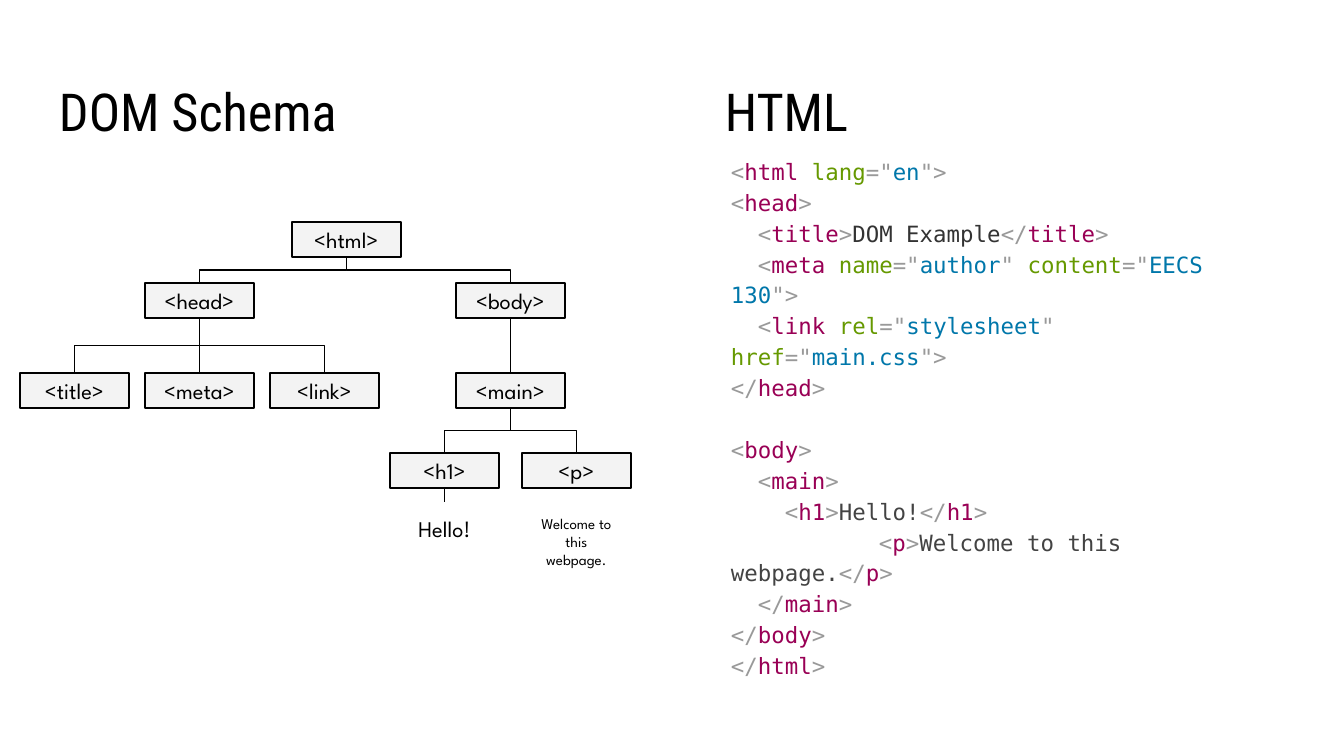
"""Build a slide that sets a DOM tree beside its HTML source."""
import itertools

import pptx
import pptx.dml.color
import pptx.enum.shapes
import pptx.enum.text
import pptx.oxml
import pptx.util

RGB = pptx.dml.color.RGBColor
BLACK = RGB(0x00, 0x00, 0x00)
PALE = RGB(0xF3, 0xF3, 0xF3)
GREY = RGB(0x99, 0x99, 0x99)
PLUM = RGB(0x99, 0x00, 0x55)
GREEN = RGB(0x66, 0x99, 0x00)
BLUE = RGB(0x00, 0x77, 0xAA)
INK = RGB(0x33, 0x33, 0x33)
SOFT = RGB(0x43, 0x43, 0x43)

HEAD = "Roboto Condensed"
BODY = "League Spartan"
MONO = "DejaVu Sans Mono"
ALIGN = pptx.enum.text.PP_ALIGN
ANCHOR = pptx.enum.text.MSO_ANCHOR
LINK = pptx.enum.shapes.MSO_CONNECTOR
RECT = pptx.enum.shapes.MSO_SHAPE.RECTANGLE
SPACE = 'xmlns:a="http://schemas.openxmlformats.org/drawingml/2006/main"'
SCALE = 914400 / 134.4
WIDE, TALL = 109, 35

NODES = {
    "html": (292, 222),
    "head": (145, 283),
    "body": (456, 283),
    "title": (20, 373),
    "meta": (145, 373),
    "link": (270, 373),
    "main": (456, 373),
    "h1": (390, 453),
    "p": (522, 453),
}
TREE = {
    "html": ("head", "body"),
    "head": ("title", "meta", "link"),
    "body": ("main",),
    "main": ("h1", "p"),
}
CODE = """<html lang="en">
<head>
  <title>DOM Example</title>
  <meta name="author" content="EECS 130">
  <link rel="stylesheet" href="main.css">
</head>

<body>
  <main>
    <h1>Hello!</h1>
\t <p>Welcome to this webpage.</p>
  </main>
</body>
</html>"""


def px(num):
    return pptx.util.Emu(round(num * SCALE))


def shade(line):
    """Pair each character of a line of HTML with its colour."""
    ink = INK if "<title>" in line else SOFT
    tag = name = quote = False
    for char in line:
        if char == "<":
            tag = name = True
        elif char == '"':
            quote = not quote
        if char in '<>/="':
            yield char, GREY
        elif quote:
            yield char, BLUE
        elif not tag:
            yield char, ink
        else:
            yield char, PLUM if name else GREEN
        if char == ">":
            tag = False
        elif char == " ":
            name = False


def write(shape, text, font=BODY, size=12, color=BLACK, align=ALIGN.LEFT,
          anchor=ANCHOR.TOP, inset=(13, 13, 13), lead=None, gap=0, tint=None):
    """Fill a shape with text, one paragraph a line, a blank line as a gap."""
    frame = shape.text_frame
    frame.word_wrap = True
    frame.auto_size = pptx.enum.text.MSO_AUTO_SIZE.NONE
    frame.vertical_anchor = anchor
    frame.margin_left, frame.margin_top, frame.margin_right = map(px, inset)
    frame.margin_bottom = px(13)
    para, space = frame.paragraphs[0], 0
    for row, line in enumerate(text.split("\n")):
        if not line:
            space = gap
            continue
        if row:
            para = frame.add_paragraph()
        para.alignment = align
        para.space_before = pptx.util.Pt(space)
        para.line_spacing = lead
        if "\t" in line:
            para._p.get_or_add_pPr().append(pptx.oxml.parse_xml(
                f'<a:tabLst {SPACE}><a:tab pos="914400" algn="l"/>'
                '</a:tabLst>'))
        space = 0
        pairs = tint(line) if tint else [(line, color)]
        for hue, group in itertools.groupby(pairs, lambda pair: pair[1]):
            run = para.add_run()
            run.text = "".join(part for part, _ in group)
            run.font.name = font
            run.font.size = pptx.util.Pt(size)
            run.font.color.rgb = hue


def label(slide, text, left, top, width, height, **style):
    box = slide.shapes.add_textbox(px(left), px(top), px(width), px(height))
    write(box, text, **style)
    return box


def node(slide, name, left, top):
    box = slide.shapes.add_shape(RECT, px(left), px(top), px(WIDE), px(TALL))
    box.shadow.inherit = False
    box.fill.solid()
    box.fill.fore_color.rgb = PALE
    box.line.color.rgb = BLACK
    box.line.width = pptx.util.Pt(0.75)
    write(box, f"<{name}>", align=ALIGN.CENTER, anchor=ANCHOR.MIDDLE)
    return box


def join(slide, top, low):
    """Link the bottom of one box to the top of another, bending midway."""
    shift = low.left - top.left
    kind = LINK.ELBOW if shift else LINK.STRAIGHT
    wire = slide.shapes.add_connector(kind, 0, 0, 0, 0)
    wire.begin_connect(top, 2)
    wire.end_connect(low, 0)
    wire.line.color.rgb = BLACK
    wire.line.width = pptx.util.Pt(0.75)
    props = wire._element.spPr
    props.append(pptx.oxml.parse_xml(f"<a:effectLst {SPACE}/>"))
    if shift:
        start, drop = top.top + top.height, low.top - top.top - top.height
        span = abs(shift)
        mid = top.left + (top.width + shift) // 2
        wire.left, wire.width = mid - drop // 2, drop
        wire.top, wire.height = start + (drop - span) // 2, span
        frame = props.get_or_add_xfrm()
        frame.set("rot", "16200000" if shift > 0 else "5400000")
        frame.set("flipH", "1" if shift > 0 else "0")
        frame.set("flipV", "0")


def main():
    deck = pptx.Presentation()
    deck.slide_width, deck.slide_height = px(1344), px(756)
    slide = deck.slides.add_slide(deck.slide_layouts[5])

    title = slide.shapes.title
    title.left, title.top = px(46), px(66)
    title.width, title.height = px(585), px(85)
    write(title, "DOM Schema", font=HEAD, size=28)
    label(slide, "HTML", 712, 66, 585, 85, font=HEAD, size=28)
    label(slide, CODE, 696, 149, 618, 566, font=MONO, inset=(35, 5, 90),
          lead=1.15, gap=16.5, tint=shade)

    boxes = {name: node(slide, name, *spot) for name, spot in NODES.items()}
    for name, kids in TREE.items():
        for kid in kids:
            join(slide, boxes[name], boxes[kid])
    hello = label(slide, "Hello!", 390, 502, WIDE, 32, align=ALIGN.CENTER)
    join(slide, boxes["h1"], hello)
    label(slide, "Welcome to this webpage.", 522, 502, WIDE, 32, size=8,
          align=ALIGN.CENTER)
    deck.save("out.pptx")


if __name__ == "__main__":
    main()
